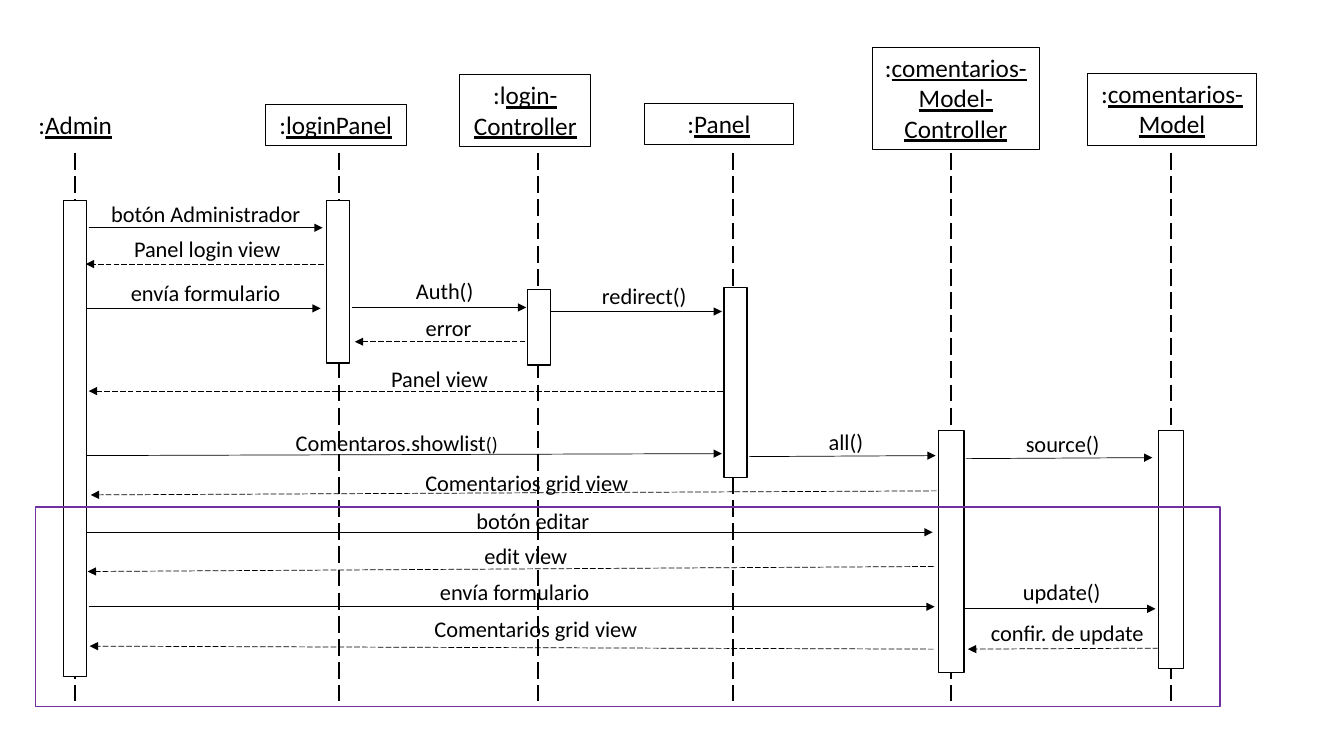
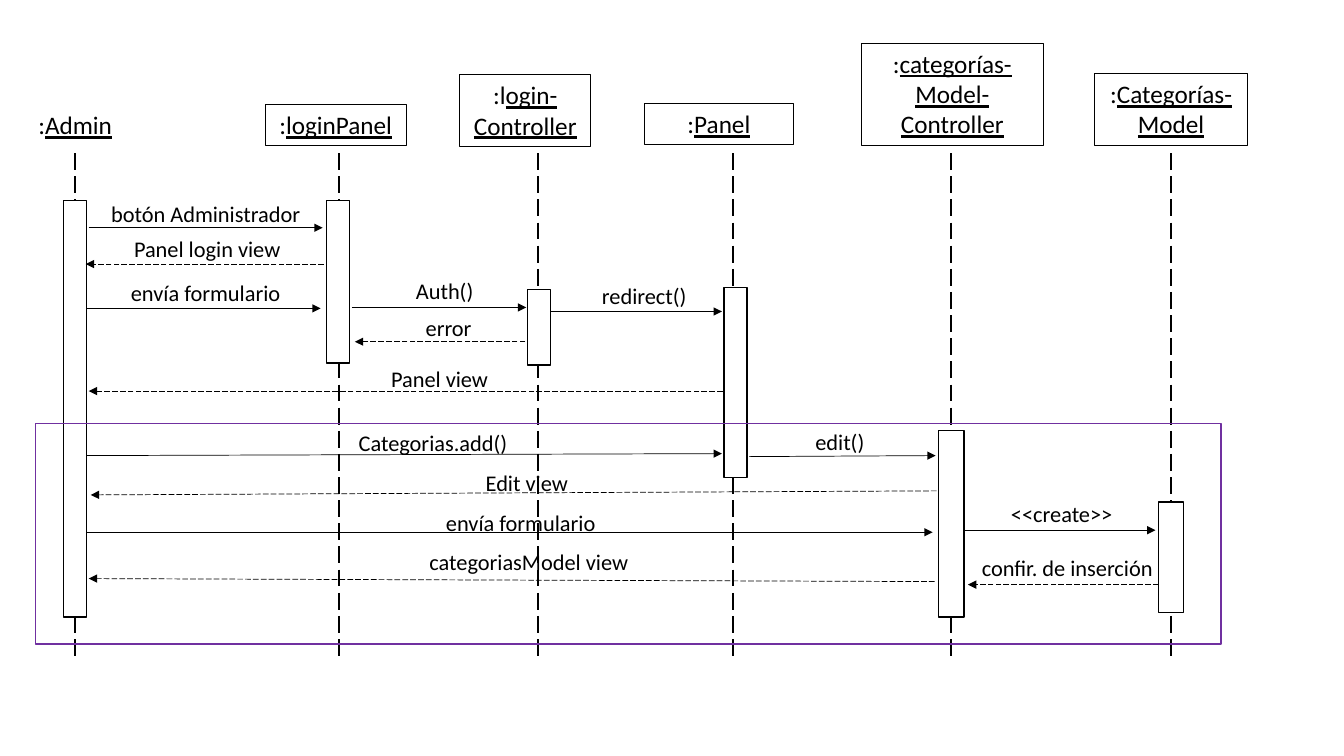
from lxml.etree import SubElement
from pptx import Presentation
from pptx.dml.color import RGBColor
from pptx.enum.dml import MSO_LINE
from pptx.enum.shapes import MSO_CONNECTOR, MSO_SHAPE
from pptx.enum.text import MSO_ANCHOR, MSO_AUTO_SIZE, PP_ALIGN
from pptx.oxml.ns import qn
from pptx.util import Pt

PX = 9144
WIDE, HIGH = 1333, 750
FONT = "Calibri"
INK = {"black": "000000", "white": "FFFFFF", "frame": "7030A0"}
CALLS = (86, 200)
TOP = 152

LANES = [
    (":|Admin", (7, 104, 135, 40), 74),
    (":|loginPanel", (263, 104, 140, 40), 336),
    (":l|ogin-Controller", (456, 74, 130, 71), 534),
    (":|Panel", (639, 103, 148, 40), 727),
]
BARS = [(324, 199, 23, 161), (523, 287, 23, 75), (718, 285, 23, 189)]
LOGIN = [
    ("botón Administrador", (2, 26, 234, 26), (-27, -6, 290)),
    ("Panel login view", (235, 62, -1, 62), (-3, 28, 245)),
    ("envía formulario", (0, 106, 232, 106), (25, 72, 186)),
    ("Auth()", (263, 105, 436, 105), (241, 70, 228)),
    ("error", (435, 139, 266, 139), (276, 107, 166)),
    ("redirect()", (461, 109, 630, 109), (439, 75, 228)),
    ("Panel view", (631, 188, 2, 188), (267, 157, 166)),
]
SHOW = (0, 252, 630, 250)
ASK = (657, 253, 842, 252)
VIEW = (843, 287, 4, 291)
SEND = (0, 328, 839, 328)

SLIDES = [
    {
        "end": 695,
        "lanes": [
            (":|comentarios-Model-Controller", (865, 47, 166, 101), 943),
            (":|comentarios-Model", (1079, 73, 167, 71), 1161),
        ],
        "bars": [(63, 199, 23, 472), (931, 427, 25, 240), (1149, 427, 25, 236)],
        "calls": [
            ("Comentaros.showlist|()", SHOW, (124, 221, 367)),
            ("all()", ASK, (692, 220, 122)),
            ("source()", (872, 255, 1057, 254), (907, 222, 122)),
            ("Comentarios grid view", VIEW, (288, 261, 297)),
            ("botón editar", SEND, (259, 298, 367)),
            ("edit view", (840, 362, 1, 367), (287, 333, 297)),
            ("envía formulario", (2, 402, 841, 402), (241, 369, 367)),
            ("update()", (871, 404, 1060, 404), (853, 369, 228)),
            ("Comentarios grid view", (840, 444, 3, 441), (326, 405, 239)),
            ("confir. de update", (1063, 443, 874, 444), (868, 409, 209)),
        ],
        "frame": (35, 503, 1175, 198),
    },
    {
        "end": 652,
        "lanes": [
            (":|categorías-Model-Controller", (854, 43, 181, 101), 943),
            (":|Categorías-Model", (1086, 73, 151, 71), 1161),
        ],
        "bars": [(63, 199, 23, 413), (931, 427, 25, 185), (1149, 498, 25, 110)],
        "calls": [
            ("Categorias.add()", SHOW, (160, 221, 367)),
            ("edit()", ASK, (692, 220, 110)),
            ("Edit view", VIEW, (288, 261, 297)),
            ("envía formulario", SEND, (247, 300, 367)),
            ("<<create>>", (871, 326, 1060, 326), (853, 291, 228)),
            ("categoriasModel view", (841, 377, 2, 374), (319, 339, 239)),
            ("confir. de inserción", (1063, 380, 874, 380), (868, 345, 209)),
        ],
        "frame": (35, 420, 1176, 219),
    },
]


def emu(box):
    return [n * PX for n in box]


def tint(name):
    return RGBColor.from_string(INK[name])


def write(shape, text, size):
    frame = shape.text_frame
    frame.word_wrap = True
    frame.auto_size = MSO_AUTO_SIZE.SHAPE_TO_FIT_TEXT
    frame.vertical_anchor = MSO_ANCHOR.TOP
    para = frame.paragraphs[0]
    para.alignment = PP_ALIGN.CENTER
    para.font.name = FONT
    para.font.color.rgb = tint("black")
    runs = []
    for part in text.split("|"):
        run = para.add_run()
        run.text = part
        run.font.size = Pt(size)
        run.font.name = FONT
        run.font.color.rgb = tint("black")
        runs.append(run)
    return runs


def rect(slide, box, edge, width, fill=None):
    shape = slide.shapes.add_shape(MSO_SHAPE.RECTANGLE, *emu(box))
    shape.shadow.inherit = False
    shape.line.color.rgb = tint(edge)
    shape.line.width = Pt(width)
    if fill:
        shape.fill.solid()
        shape.fill.fore_color.rgb = tint(fill)
    else:
        shape.fill.background()
    return shape


def link(slide, ends, width, dash=False, arrow=False):
    line = slide.shapes.add_connector(MSO_CONNECTOR.STRAIGHT, *emu(ends))
    line.line.color.rgb = tint("black")
    line.line.width = Pt(width)
    if dash:
        line.line.dash_style = MSO_LINE.LONG_DASH
    if arrow:
        SubElement(line.line._get_or_add_ln(), qn("a:tailEnd"), type="triangle")
    SubElement(line._element.spPr, qn("a:effectLst"))


def head(slide, box, name, plain):
    if plain:
        shape = slide.shapes.add_textbox(*emu(box))
    else:
        shape = rect(slide, box, "black", 0.75)
    write(shape, name, 18)[1].font.underline = True


def call(slide, box, text, ends, label):
    left, top = box
    x1, y1, x2, y2 = ends
    x, y, wide = label
    link(slide, (left + x1, top + y1, left + x2, top + y2), 0.5, x2 < x1, True)
    note = slide.shapes.add_textbox(*emu((left + x, top + y, wide, 37)))
    runs = write(note, text, 16)
    for run in runs[1:]:
        run.font.size = Pt(14)


def chart(deck, data):
    slide = deck.slides.add_slide(deck.slide_layouts[6])
    for i, (name, box, x) in enumerate(LANES + data["lanes"]):
        head(slide, box, name, i == 0)
        link(slide, (x, TOP, x, data["end"]), 1.5, True)
    for bar in BARS + data["bars"]:
        rect(slide, bar, "black", 1, "white")
    for row in LOGIN + data["calls"]:
        call(slide, CALLS, *row)
    rect(slide, data["frame"], "frame", 1)


def main():
    deck = Presentation()
    deck.slide_width, deck.slide_height = emu((WIDE, HIGH))
    for data in SLIDES:
        chart(deck, data)
    deck.save("out.pptx")


if __name__ == "__main__":
    main()
